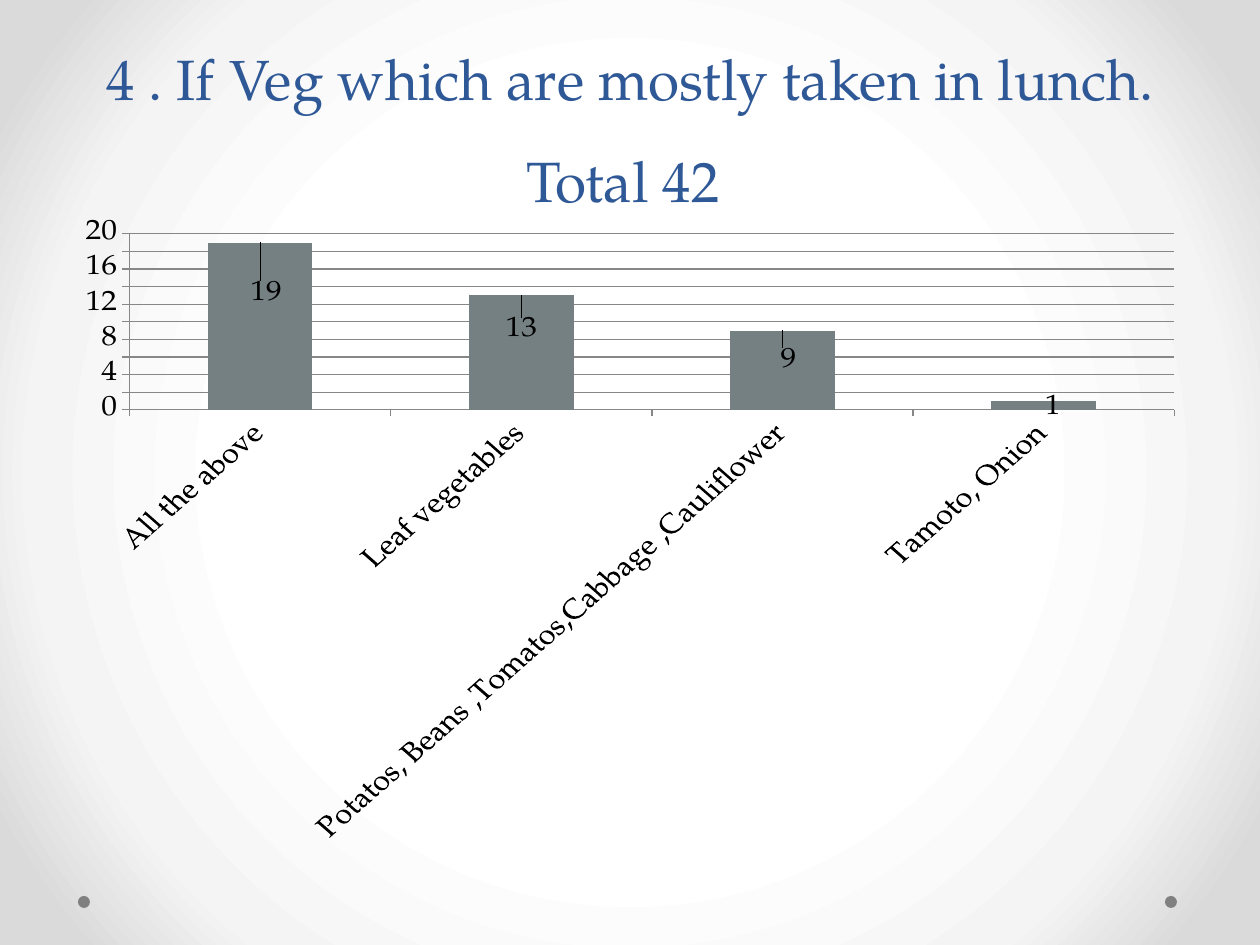
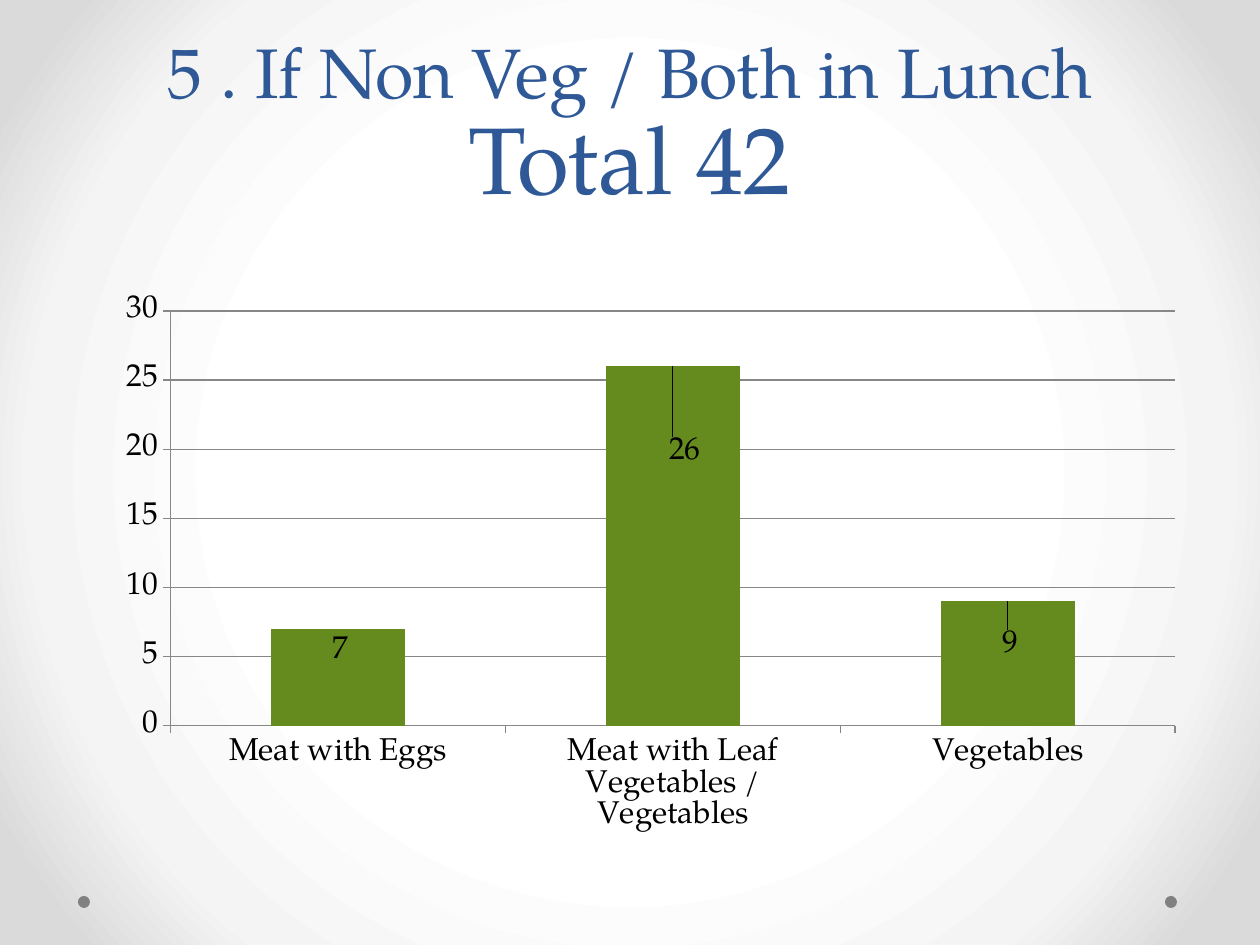
"""Two survey slides: lunch choices as column charts."""
from lxml import etree
from pptx import Presentation, util as u
from pptx.chart.data import CategoryChartData
from pptx.dml.color import RGBColor
from pptx.enum import chart as ch, shapes, text
from pptx.oxml import parse_xml
from pptx.oxml.ns import nsdecls, qn

SCALE = 914400 / 126
FONT = "TeX Gyre Pagella"
COLORS = {
    "title": "2F5897", "text": "000000", "grid": "878787", "dot": "808080",
    "veg": "758083", "non_veg": "658B1F",
    "centre": "FFFFFF", "middle": "F4F4F4", "edge": "DADADA",
}
BACKDROP = (("centre", 50), ("middle", 76), ("edge", 92))
LABEL_RISE = 25  # default distance from column top to label centre

SLIDES = (
    {
        "title": (("4 . If Veg which are mostly taken in lunch.", 32.4),
                  ("Total 42 ", 32.4)),
        "frame": (63, 220, 1134, 624),
        "color": "veg", "top": 20, "step": 2, "turn": -45,
        # category, value, label centre relative to the column top centre
        "columns": (
            ("All the above", 19, (6, 55)),
            ("Leaf vegetables", 13, (0, 36)),
            ("Potatos, Beans ,Tomatos,Cabbage ,Cauliflower", 9, (6, 31)),
            ("Tamoto, Onion", 1, (9, 4)),
        ),
    },
    {
        "title": (("5 . If Non Veg / Both in Lunch", 40), ("Total 42", 54)),
        "frame": (105, 284, 1092, 560),
        "color": "non_veg", "top": 30, "step": 5, "turn": 0,
        "columns": (
            ("Meat with Eggs", 7, (2, 19)),
            ("Meat with Leaf Vegetables / Vegetables", 26, (12, 82)),
            ("Vegetables", 9, (3, 40)),
        ),
    },
)


def px(*lengths):
    """Turn pixels into EMU."""
    return [u.Emu(round(length * SCALE)) for length in lengths]


def rgb(name):
    """Look up a named colour."""
    return RGBColor.from_string(COLORS[name])


def style_font(font, size, color="text"):
    """Apply the shared typeface with a size and colour."""
    font.name, font.size = FONT, u.Pt(size)
    font.color.rgb = rgb(color)


def set_background(master):
    """Give the master a round gradient from the centre outwards."""
    stops = "".join(
        f'<a:gs pos="{place * 1000}"><a:srgbClr val="{COLORS[name]}"/></a:gs>'
        for name, place in BACKDROP)
    common = master.element.cSld
    old = common.find(qn("p:bg"))
    if old is not None:
        common.remove(old)
    common.insert(0, parse_xml(
        f'<p:bg {nsdecls("p", "a")}><p:bgPr><a:gradFill rotWithShape="1">'
        f'<a:gsLst>{stops}</a:gsLst><a:path path="circle">'
        '<a:fillToRect l="50000" t="50000" r="50000" b="50000"/></a:path>'
        '</a:gradFill><a:effectLst/></p:bgPr></p:bg>'))


def add_master_dots(slide, master):
    """Draw the two footer dots and hand them to the master."""
    for left in (1165, 78):
        dot = slide.shapes.add_shape(
            shapes.MSO_SHAPE.OVAL, *px(left, 896, 12, 12))
        dot.shadow.inherit = False
        dot.fill.solid()
        dot.fill.fore_color.rgb = rgb("dot")
        dot.line.fill.background()
        master.element.cSld.spTree.append(dot.element)


def set_title(slide, lines):
    """Fill the title with lines of (wording, size)."""
    title = slide.shapes.title
    title.left, title.top, title.width, title.height = px(63, 0, 1134, 220)
    frame = title.text_frame
    frame.auto_size = text.MSO_AUTO_SIZE.NONE
    frame.vertical_anchor = text.MSO_ANCHOR.BOTTOM
    heading = frame.paragraphs[0]
    heading.text = "\n".join(wording for wording, _ in lines)
    heading.alignment = text.PP_ALIGN.CENTER
    heading.line_spacing = u.Pt(58)
    for run, (_, size) in zip(heading.runs, lines):
        style_font(run.font, size, "title")


def style_axes(chart, top, step, turn):
    """Set the value scale, grid lines and label rotation."""
    values, categories = chart.value_axis, chart.category_axis
    values.minimum_scale, values.maximum_scale = 0, top
    values.major_unit = step
    values.has_major_gridlines = True
    for axis in (values, categories):
        axis.major_tick_mark = ch.XL_TICK_MARK.OUTSIDE
        style_font(axis.tick_labels.font, 18)
    for line in (values.major_gridlines.format.line,
                 values.format.line, categories.format.line):
        line.color.rgb = rgb("grid")
        line.width = u.Pt(0.75)
    if turn:
        body = categories._element.find(qn("c:txPr")).find(qn("a:bodyPr"))
        body.set("rot", str(turn * 60000))
        body.set("vert", "horz")


def place_label(point, shift, frame):
    """Show a column's value, moved from its usual place."""
    label = point.data_label
    style_font(label.font, 18)
    label.position = ch.XL_LABEL_POSITION.OUTSIDE_END
    layout = etree.Element(qn("c:layout"))
    manual = etree.SubElement(layout, qn("c:manualLayout"))
    for tag, value in (("x", shift[0] / frame[2]),
                       ("y", (shift[1] + LABEL_RISE) / frame[3])):
        etree.SubElement(manual, qn(f"c:{tag}")).set("val", f"{value:.4f}")
    label._dLbl.find(qn("c:idx")).addnext(layout)


def hide_leader_lines(series):
    """Switch off the lines between moved labels and their columns."""
    labels = series._element.find(qn("c:dLbls"))
    for line in labels.findall(qn("c:showLeaderLines")):
        labels.remove(line)
    labels.append(parse_xml(
        f'<c:extLst {nsdecls("c")}>'
        '<c:ext uri="{CE6537A1-D6FC-4f65-9D91-7224C49458BB}" xmlns:c15='
        '"http://schemas.microsoft.com/office/drawing/2012/chart">'
        '<c15:showLeaderLines val="0"/></c:ext></c:extLst>'))


def add_columns(slide, frame, color, top, step, turn, columns):
    """Add the column chart of the answers."""
    data = CategoryChartData()
    data.categories = [answer for answer, _, _ in columns]
    data.add_series("Series 1", [count for _, count, _ in columns])
    chart = slide.shapes.add_chart(
        ch.XL_CHART_TYPE.COLUMN_CLUSTERED, *px(*frame), data).chart
    chart.has_legend = chart.has_title = False
    style_font(chart.font, 18)
    bars = chart.plots[0]
    bars.gap_width = 150
    bars.vary_by_categories = False
    answers = bars.series[0]
    answers.format.fill.solid()
    answers.format.fill.fore_color.rgb = rgb(color)
    answers.data_labels.show_value = True
    for index, (_, _, shift) in enumerate(columns):
        place_label(answers.points[index], shift, frame)
    hide_leader_lines(answers)
    style_axes(chart, top, step, turn)


def main():
    """Build and save the deck."""
    deck = Presentation()
    deck.slide_width, deck.slide_height = u.Inches(10), u.Inches(7.5)
    set_background(deck.slide_master)
    title_only = deck.slide_layouts[5]
    for number, content in enumerate(SLIDES):
        slide = deck.slides.add_slide(title_only)
        if number == 0:
            add_master_dots(slide, deck.slide_master)
        set_title(slide, content["title"])
        add_columns(slide, content["frame"], content["color"],
                    content["top"], content["step"], content["turn"],
                    content["columns"])
    deck.save("out.pptx")


main()
